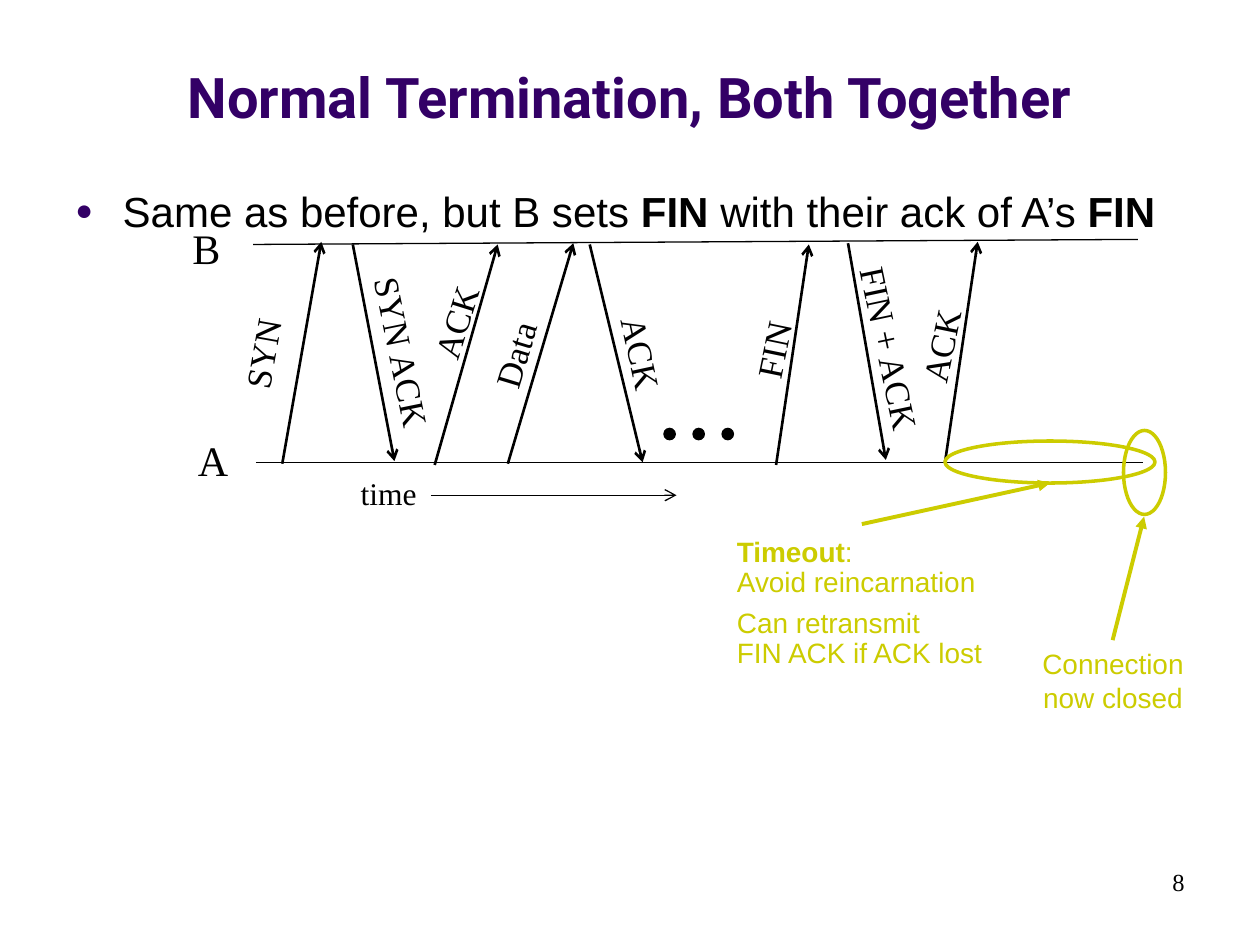
from dataclasses import dataclass

from lxml.etree import SubElement
from pptx import Presentation
from pptx.dml.color import RGBColor
from pptx.enum.shapes import MSO_CONNECTOR as Connector, MSO_SHAPE as Shape
from pptx.enum.text import MSO_ANCHOR as Anchor, MSO_AUTO_SIZE as AutoSize, PP_ALIGN as Align
from pptx.oxml.ns import qn
from pptx.util import Pt


@dataclass(frozen=True)
class Theme:
    title_font: str = "Roboto"
    body_font: str = "Arial"
    label_font: str = "Times New Roman"
    title_color: str = "330066"
    ink: str = "000000"
    accent: str = "CCCC00"
    title_size: int = 32
    body_size: int = 24
    label_size: int = 20
    time_size: int = 18
    note_size: int = 16
    number_size: int = 14
    thin: float = 0.75
    medium: float = 1.5
    ring: float = 2
    thick: float = 2.25


def add_text(paragraph, text, font, size, color, bold=False):
    for index, line in enumerate(text.split("\n")):
        if index:
            paragraph.add_line_break()
        run = paragraph.add_run()
        run.text = line
        run.font.name = font
        run.font.size = Pt(size)
        run.font.bold = bold
        run.font.color.rgb = RGBColor.from_string(color)


class SlideBuilder:
    def __init__(self, presentation, theme):
        self.theme = theme
        self.slide = presentation.slides.add_slide(presentation.slide_layouts[5])

    def title(self, text, left, top, width, height):
        theme = self.theme
        shape = self.slide.shapes.title
        shape.left, shape.top, shape.width, shape.height = map(Pt, (left, top, width, height))
        shape.text_frame.vertical_anchor = Anchor.BOTTOM
        shape.text_frame.auto_size = AutoSize.NONE
        paragraph = shape.text_frame.paragraphs[0]
        paragraph.alignment = Align.CENTER
        add_text(paragraph, text, theme.title_font, theme.title_size, theme.title_color, bold=True)

    def text(self, paragraphs, left, top, width, height, font, size, color,
             align=Align.LEFT, anchor=Anchor.MIDDLE, wrap=False, before=0, rotation=0):
        shape = self.slide.shapes.add_textbox(*map(Pt, (left, top, width, height)))
        shape.rotation = rotation
        frame = shape.text_frame
        frame.word_wrap = wrap
        frame.auto_size = AutoSize.NONE if wrap else AutoSize.SHAPE_TO_FIT_TEXT
        frame.vertical_anchor = anchor
        for index, (spacing, runs) in enumerate(paragraphs):
            paragraph = frame.add_paragraph() if index else frame.paragraphs[0]
            paragraph.alignment = align
            paragraph.line_spacing = spacing
            paragraph.space_before = Pt(before)
            for text, bold in runs:
                add_text(paragraph, text, font, size, color, bold=bold)
        return shape

    def label(self, text, center, width, height, size, rotation=0):
        x, y = center
        self.text([(1.0, [(text, False)])], x - width / 2, y - height / 2, width, height,
                  self.theme.label_font, size, self.theme.ink,
                  align=Align.CENTER, rotation=rotation)

    def bullet(self, runs, left, top, width, height):
        theme = self.theme
        shape = self.text([(1.0, runs)], left, top, width, height, theme.body_font,
                          theme.body_size, theme.ink, anchor=Anchor.TOP, wrap=True, before=4.8)
        properties = shape.text_frame.paragraphs[0]._p.get_or_add_pPr()
        properties.set("marL", str(Pt(27)))
        properties.set("indent", str(Pt(-27)))
        color = SubElement(properties, qn("a:buClr"))
        SubElement(color, qn("a:srgbClr"), val=theme.title_color)
        SubElement(properties, qn("a:buSzPct"), val="70000")
        SubElement(properties, qn("a:buFont"), typeface=theme.body_font)
        SubElement(properties, qn("a:buChar"), char="●")

    def line(self, start, end, width, color, head=None):
        connector = self.slide.shapes.add_connector(
            Connector.STRAIGHT, *map(Pt, (*start, *end)))
        connector.line.width = Pt(width)
        connector.line.color.rgb = RGBColor.from_string(color)
        if head:
            SubElement(connector.line._get_or_add_ln(), qn("a:tailEnd"), type=head)
        SubElement(connector._element.spPr, qn("a:effectLst"))

    def ellipse(self, left, top, width, height, color, weight, filled=False):
        shape = self.slide.shapes.add_shape(Shape.OVAL, *map(Pt, (left, top, width, height)))
        shape.shadow.inherit = False
        if filled:
            shape.fill.solid()
            shape.fill.fore_color.rgb = RGBColor.from_string(color)
        else:
            shape.fill.background()
        shape.line.color.rgb = RGBColor.from_string(color)
        shape.line.width = Pt(weight)


MESSAGES = [
    ("SYN", (161.3, 265), (183.6, 138.2), (149.8, 202), 54.7, 280.1),
    ("SYN ACK", (201.6, 139.7), (225.4, 263.5), (230, 201.2), 101.5, 78.5),
    ("ACK", (248.4, 265.7), (284.4, 139.7), (260.3, 184), 57, 287.4),
    ("Data", (290.2, 265), (327.6, 139), (294.1, 202.7), 52.6, 286.7),
    ("ACK", (337, 139.7), (367.2, 264.2), (366.8, 202), 57, 77.9),
    ("FIN", (443.5, 265.7), (462.2, 139.7), (441.7, 199.8), 46.8, 281.6),
    ("FIN + ACK", (484.6, 139), (506.2, 262.8), (508.7, 199.1), 110, 78.1),
    ("ACK", (540, 264.2), (558.7, 138.2), (537.5, 197.6), 57, 281.6),
]


def main():
    theme = Theme()
    presentation = Presentation()
    presentation.slide_width, presentation.slide_height = Pt(720), Pt(540)
    builder = SlideBuilder(presentation, theme)

    builder.title("Normal Termination, Both Together", 0, 9.4, 720, 68.4)
    builder.bullet([("Same as before, but B sets ", False), ("FIN", True),
                    (" with their ack of A’s ", False), ("FIN", True)], 36, 102.2, 672, 381)
    builder.text([(1.0, [("8", False)])], 516, 492, 168, 36, theme.label_font,
                 theme.number_size, theme.ink, align=Align.RIGHT, anchor=Anchor.TOP, wrap=True)

    builder.line((144.7, 139.7), (650.2, 136.8), theme.thin, theme.ink)
    builder.line((146.2, 264.2), (653, 264.2), theme.thin, theme.ink)
    builder.label("B", (118, 141.8), 30.2, 36, theme.body_size)
    builder.label("A", (121.7, 262.8), 31.7, 36, theme.body_size)
    builder.label("time", (222.1, 281.5), 46.8, 28.8, theme.time_size)
    builder.line((246.2, 283), (386.6, 283), theme.thin, theme.ink, head="arrow")

    for text, start, end, center, width, rotation in MESSAGES:
        builder.line(start, end, theme.medium, theme.ink, head="arrow")
        builder.label(text, center, width, 31, theme.label_size, rotation)

    for index in range(3):
        builder.ellipse(379.4 + 16.6 * index, 244.8, 6.5, 6.5, theme.ink, theme.thin, filled=True)

    builder.line((635.8, 365.8), (653.8, 295.2), theme.thick, theme.accent, head="triangle")
    builder.ellipse(642, 246, 24, 48, theme.accent, theme.ring)
    builder.text([(1.0, [("Connection\nnow closed", False)])], 588, 365.8, 96, 46,
                 theme.body_font, theme.note_size, theme.accent, align=Align.CENTER, before=8)

    builder.line((492.5, 299.5), (600, 276), theme.thick, theme.accent, head="triangle")
    builder.ellipse(540, 252, 120, 24, theme.accent, theme.ring)
    builder.text([(1.0, [("Timeout", True), (":", False)]),
                  (0.4, [("Avoid reincarnation", False)]),
                  (0.9, [("Can retransmit\nFIN ACK if ACK lost", False)])],
                 414, 299.5, 156, 89.3, theme.body_font, theme.note_size, theme.accent, before=8)

    presentation.save("out.pptx")


if __name__ == "__main__":
    main()
